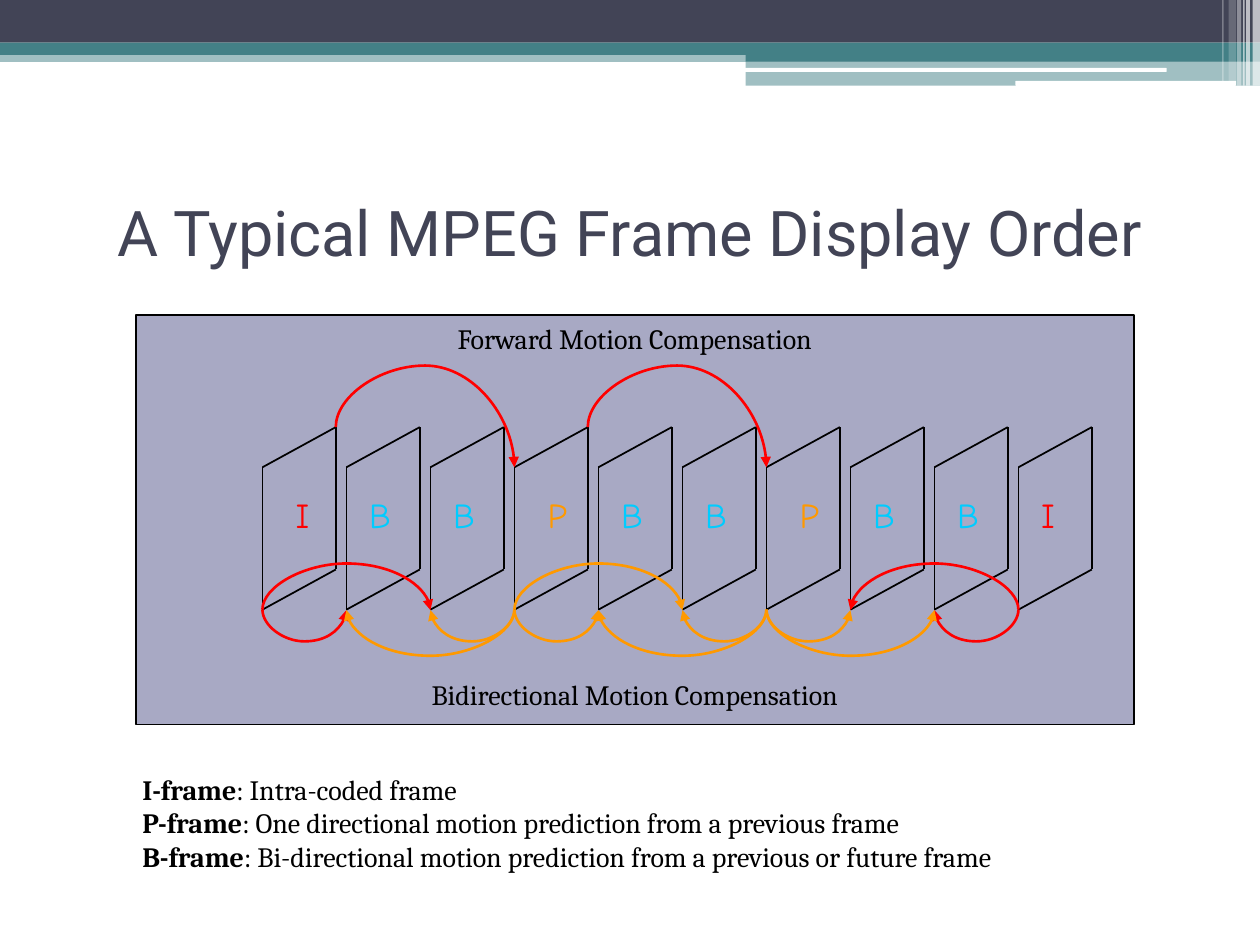
from dataclasses import dataclass

from lxml.etree import SubElement
from pptx import Presentation
from pptx.dml.color import RGBColor
from pptx.enum.shapes import MSO_CONNECTOR as Connector, MSO_SHAPE as Shape
from pptx.enum.text import MSO_ANCHOR as Anchor, PP_ALIGN as Align
from pptx.oxml.ns import qn
from pptx.util import Cm, Pt


@dataclass(frozen=True)
class Theme:
    navy: str = "424456"
    teal: str = "438086"
    panel: str = "53548A"
    white: str = "FFFFFF"
    black: str = "000000"
    red: str = "FF0000"
    orange: str = "FF9900"
    cyan: str = "00CCFF"
    title_font: str = "Roboto"
    body_font: str = "Cambria"
    letter_font: str = "Comic Neue"
    title_size: int = 36
    letter_size: int = 20
    body_size: int = 16


theme = Theme()


def add_block(shapes, kind, box, color, opacity=100):
    """Add a borderless filled shape; box is left, top, width, height in cm."""
    block = shapes.add_shape(kind, *map(Cm, box))
    block.shadow.inherit = False
    block.fill.solid()
    block.fill.fore_color.rgb = RGBColor.from_string(color)
    block.line.fill.background()
    if opacity < 100:
        color_element = block.fill._xPr.find(qn("a:solidFill"))[0]
        SubElement(color_element, qn("a:alpha"), val=str(opacity * 1000))
    return block


def write_runs(paragraph, runs, align, font, size, color):
    """Write (text, bold) runs in one paragraph."""
    paragraph.alignment = align
    for text, bold in runs:
        run = paragraph.add_run()
        run.text = text
        font_format = {"name": font, "size": Pt(size), "bold": bold}
        for name, value in font_format.items():
            setattr(run.font, name, value)
        run.font.color.rgb = RGBColor.from_string(color)


presentation = Presentation()
presentation.slide_width = Cm(25.4)
presentation.slide_height = Cm(19.05)
slide = presentation.slides.add_slide(presentation.slide_layouts[5])

# Header bands and the light stripes at the right edge
bands = [
    (Shape.RECTANGLE, (0, 1.02, 25.4, 0.23), theme.teal, 50),
    (Shape.RECTANGLE, (0, 0, 25.4, 0.86), theme.navy, 100),
    (Shape.RECTANGLE, (0, 0.86, 25.4, 0.25), theme.teal, 100),
    (Shape.RECTANGLE, (15.03, 0.99, 10.37, 0.25), theme.teal, 100),
    (Shape.RECTANGLE, (15.03, 1.23, 10.37, 0.5), theme.teal, 50),
    (Shape.ROUNDED_RECTANGLE, (15.01, 1.37, 8.51, 0.08), theme.white, 100),
    (Shape.ROUNDED_RECTANGLE, (20.47, 1.63, 4.45, 0.1), theme.white, 100),
]
stripes = [  # left, width, height, opacity
    (25.25, 0.15, 1.73, 65),
    (25.12, 0.08, 1.73, 65),
    (25.06, 0.03, 1.73, 60),
    (24.94, 0.08, 1.73, 40),
    (24.77, 0.15, 1.63, 20),
    (24.64, 0.03, 1.63, 30),
]
for kind, box, color, opacity in bands:
    add_block(slide.shapes, kind, box, color, opacity)
for left, width, height, opacity in stripes:
    add_block(slide.shapes, Shape.RECTANGLE, (left, 0, width, height), theme.white, opacity)

title = slide.shapes.title
title_format = {"left": Cm(1.27), "top": Cm(3.18), "width": Cm(22.86), "height": Cm(2.97)}
for name, value in title_format.items():
    setattr(title, name, value)
title.text_frame.vertical_anchor = Anchor.MIDDLE
write_runs(title.text_frame.paragraphs[0], [("A Typical MPEG Frame Display Order", None)],
           Align.CENTER, theme.title_font, theme.title_size, theme.navy)

# Diagram panel
diagram = slide.shapes.add_group_shape().shapes
panel = add_block(diagram, Shape.RECTANGLE, (2.74, 6.35, 20.12, 8.26), theme.panel, 50)
panel.line.color.rgb = RGBColor.from_string(theme.black)
panel.line.width = Pt(0.75)

# Frames: slanted outlines at equal steps, each with its letter
frames = "IBBPBBPBBI"
letter_colors = {"I": theme.red, "B": theme.cyan, "P": theme.orange}
first_left, frame_step, frame_width = 5.29, 15.24 / 9, 1.48
back_top, front_top, back_bottom, front_bottom = 8.61, 9.42, 11.48, 12.29
frame_lefts = [first_left + index * frame_step for index in range(len(frames))]
strokes = []  # connector, color, width
texts = []  # shapes, box, paragraphs, align, font, size, color

for index, (letter, left) in enumerate(zip(frames, frame_lefts)):
    right = left + frame_width
    edges = [
        (left, front_top, right, back_top),
        (left, front_bottom, right, back_bottom),
        (left, front_bottom, left, front_top),
        (right, back_bottom, right, back_top),
    ]
    for edge in edges:
        connector = diagram.add_connector(Connector.STRAIGHT, *map(Cm, edge))
        strokes.append((connector, theme.black, 1))
    inset = 0.42 if index in (0, 3, 6) else 0.21
    texts.append((diagram, (left + inset, 9.83, 0.85, 1.09), [[(letter, None)]], Align.LEFT,
                  theme.letter_font, theme.letter_size, letter_colors[letter]))

# Prediction arrows; the bulge is in cm, positive downwards
forward, near, far, over = -1.24, 0.64, 0.93, -0.93
arrows = [  # source frame, target frame, bulge, color
    (0, 3, forward, theme.red),
    (4 - 1, 6, forward, theme.red),
    (0, 1, near, theme.red),
    (3, 4, near, theme.orange),
    (6, 7, near, theme.orange),
    (3, 2, near, theme.orange),
    (6, 5, near, theme.orange),
    (9, 8, near, theme.red),
    (3, 1, far, theme.orange),
    (6, 4, far, theme.orange),
    (0, 2, over, theme.red),
    (3, 5, over, theme.orange),
    (9, 7, over, theme.red),
    (6, 8, far, theme.orange),
]
for source, target, bulge, color in arrows:
    start, end = frame_lefts[source], frame_lefts[target]
    top, drop = front_bottom, 0.01
    if bulge == forward:
        start, top, drop = start + frame_width, back_top, front_top - back_top
    # A quarter turn swaps the sides: the drop is the width before turning
    span = abs(end - start)
    left = (start + end - drop) / 2
    upper = top + (drop - span) / 2
    connector = diagram.add_connector(
        Connector.CURVE, Cm(left), Cm(upper), Cm(left + drop), Cm(upper + span))
    properties = connector._element.spPr
    transform = properties.find(qn("a:xfrm"))
    transform.set("rot", str(90 * 60000))
    if end > start:
        transform.set("flipV", "1")
    geometry = properties.find(qn("a:prstGeom"))
    SubElement(geometry.find(qn("a:avLst")), qn("a:gd"), name="adj1",
               fmla=f"val {round(bulge / drop * 100000)}")
    strokes.append((connector, color, 1.5))

for connector, color, width in strokes:
    connector.line.color.rgb = RGBColor.from_string(color)
    connector.line.width = Pt(width)
    if color != theme.black:
        SubElement(connector.line._get_or_add_ln(), qn("a:tailEnd"), type="triangle")
    SubElement(connector._element.spPr, qn("a:effectLst"))

# Captions and legend
for caption, top in [("Bidirectional Motion Compensation", 13.54),
                     ("Forward Motion Compensation", 6.35)]:
    texts.append((diagram, (2.74, top, 20.12, 0.94), [[(caption, None)]], Align.CENTER,
                  theme.body_font, theme.body_size, theme.black))
legend = [
    [("I-frame", True), (": Intra-coded frame", False)],
    [("P-frame", True), (": One directional motion prediction from a previous frame", False)],
    [("B-frame", True),
     (": Bi-directional motion prediction from a previous or future frame", False)],
]
texts.append((slide.shapes, (2.62, 15.44, 19.51, 2.31), legend, Align.LEFT,
              theme.body_font, theme.body_size, theme.black))

for shapes, box, paragraphs, *text_format in texts:
    text_frame = shapes.add_textbox(*map(Cm, box)).text_frame
    text_frame.word_wrap = True
    for index, runs in enumerate(paragraphs):
        paragraph = text_frame.add_paragraph() if index else text_frame.paragraphs[0]
        write_runs(paragraph, runs, *text_format)

presentation.save("out.pptx")
